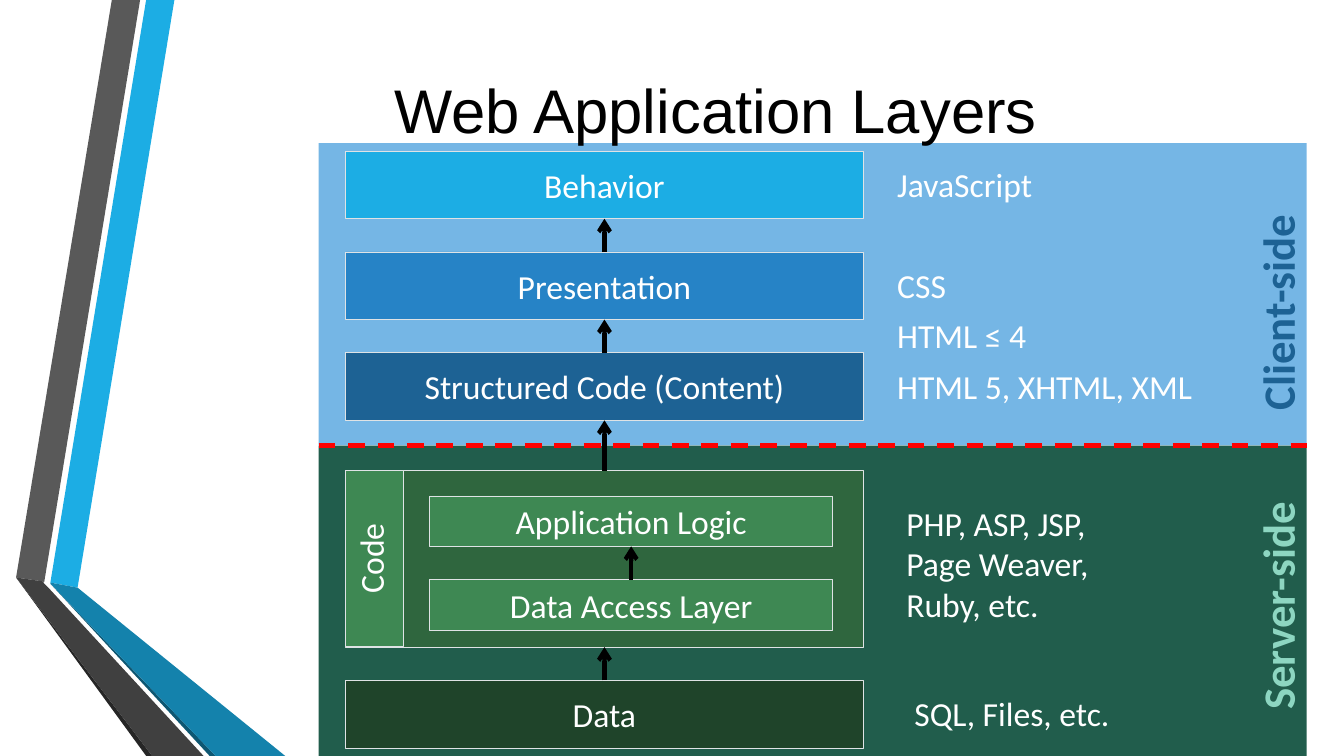
from lxml import etree
from pptx import Presentation
from pptx.dml.color import RGBColor
from pptx.enum.dml import MSO_LINE
from pptx.enum.shapes import MSO_CONNECTOR, MSO_SHAPE
from pptx.enum.text import MSO_ANCHOR, PP_ALIGN
from pptx.oxml.ns import qn
from pptx.util import Inches, Pt

RECT, STRAIGHT, DASH = MSO_SHAPE.RECTANGLE, MSO_CONNECTOR.STRAIGHT, MSO_LINE.DASH
LEFT, CENTER = PP_ALIGN.LEFT, PP_ALIGN.CENTER
TOP, MIDDLE = MSO_ANCHOR.TOP, MSO_ANCHOR.MIDDLE
WHITE, BLACK, BORDER, GREEN = "FFFFFF", "000000", "DFE3E5", "3E8853"

RIBBONS = [
    ("1CADE4", [(0.5, 5.78), (0.77, 5.83), (1.73, 0), (1.45, 0)]),
    ("595959", [(1.39, 0), (1.11, 0), (0.16, 5.73), (0.44, 5.77)]),
    ("262626", [(0.16, 5.73), (1.45, 7.5), (1.51, 7.5)]),
    ("0E5772", [(0.5, 5.79), (2.08, 7.5), (2.14, 7.5)]),
    ("1482AC", [(0.5, 5.79), (2.14, 7.5), (2.83, 7.5), (0.77, 5.83), (0.5, 5.78)]),
    ("404040", [(2.02, 7.5), (0.48, 5.83), (0.43, 5.78), (0.44, 5.77), (0.16, 5.73), (1.51, 7.5)]),
]
PANEL_X, PANEL_W = 3.16, 9.8
SIDES = [
    ("Client-side", 1.42, 3, "75B6E5", "1D6294", 2, 2.17),
    ("Server-side", 4.42, 3.08, "215D4C", "8DD6C1", 4.85, 2.29),
]
LAYER_X, LAYER_W, LAYER_H = 3.43, 5.13, 0.67
LAYERS = [
    ("Behavior", 1.5, LAYER_H, "1CADE4"),
    ("Presentation", 2.5, LAYER_H, "2683C6"),
    ("Structured Code (Content)", 3.5, LAYER_H, "1D6294"),
    ("", 4.67, 1.75, "2F663E"),
    ("Data", 6.75, LAYER_H, "1F442A"),
]
CODE_X, CODE_W = 4.26, 4
CODE_LAYERS = [("Application Logic", 4.92, 0.5, GREEN), ("Data Access Layer", 5.75, 0.5, GREEN)]
TECHNOLOGIES = [
    (8.8, 1.58, 2.21, ["JavaScript"]),
    (8.8, 2.58, 1.47, ["CSS"]),
    (8.8, 3.08, 2.04, ["HTML ≤ 4"]),
    (8.8, 3.58, 3.64, ["HTML 5, XHTML, XML"]),
    (8.89, 4.94, 3.28, ["PHP, ASP, JSP,", "Page Weaver,", "Ruby, etc."]),
    (8.97, 6.83, 2.48, ["SQL, Files, etc."]),
]

prs = Presentation()
prs.slide_width, prs.slide_height = Inches(13.33), Inches(7.5)
s = prs.slides.add_slide(prs.slide_layouts[6])


def rgb(color):
    return RGBColor.from_string(color)


def paint(sp, fill, line=None, width=0.5):
    sp.shadow.inherit = False
    sp.fill.solid()
    sp.fill.fore_color.rgb = rgb(fill)
    if line:
        sp.line.color.rgb = rgb(line)
        sp.line.width = Pt(width)
    else:
        sp.line.fill.background()


def write(sp, lines, size=24, font="Calibri", color=WHITE, bold=False,
          align=LEFT, anchor=TOP, wrap=True):
    tf = sp.text_frame
    tf.word_wrap, tf.vertical_anchor = wrap, anchor
    for i, line in enumerate(lines):
        p = tf.add_paragraph() if i else tf.paragraphs[0]
        p.alignment = align
        r = p.add_run()
        r.text = line
        r.font.size, r.font.name, r.font.bold = Pt(size), font, bold
        r.font.color.rgb = rgb(color)


def box(x, y, w, h):
    return s.shapes.add_textbox(*map(Inches, (x, y, w, h)))


def rect(x, y, w, h, fill, line=None, width=0.5):
    sp = s.shapes.add_shape(RECT, *map(Inches, (x, y, w, h)))
    paint(sp, fill, line, width)
    return sp


def connect(x1, y1, x2, y2, color, dash=None, arrow=False):
    c = s.shapes.add_connector(STRAIGHT, *map(Inches, (x1, y1, x2, y2)))
    c.line.color.rgb = rgb(color)
    c.line.width = Pt(3)
    if dash:
        c.line.dash_style = dash
    if arrow:
        etree.SubElement(c.line._get_or_add_ln(), qn("a:tailEnd"), type="arrow")
    etree.SubElement(c._element.spPr, qn("a:effectLst"))


def stack(x, w, layers):
    for text, y, h, fill in layers:
        sp = rect(x, y, w, h, fill, BORDER)
        if text:
            write(sp, [text], align=CENTER, anchor=MIDDLE)
    for upper, lower in zip(layers, layers[1:]):
        connect(x + w / 2, lower[1], x + w / 2, upper[1] + upper[2], BLACK, arrow=True)


for fill, points in RIBBONS:
    (x, y), *rest = [(px * 100, py * 100) for px, py in points]
    fb = s.shapes.build_freeform(x, y, scale=Inches(0.01))
    fb.add_line_segments(rest, close=True)
    paint(fb.convert_to_shape(), fill)

for name, y, h, fill, color, name_y, name_h in SIDES:
    rect(PANEL_X, y, PANEL_W, h, fill)
    sp = box(12.35, name_y, 0.74, name_h)
    write(sp, [name], size=32, color=color, bold=True, wrap=False)
    sp.text_frame._txBody.bodyPr.set("vert", "vert270")
border_y = SIDES[1][1]
connect(PANEL_X, border_y, PANEL_X + PANEL_W, border_y, "FF0000", dash=DASH)

write(box(1.62, 0.52, 10.96, 1.12), ["Web Application Layers"], size=44, font="Arial",
      color=BLACK, align=CENTER, anchor=MIDDLE)

stack(LAYER_X, LAYER_W, LAYERS)
code = rect(2.84, 5.25, 1.75, 0.58, GREEN, BORDER, 0.75)
code.rotation = 270
write(code, ["Code"], align=CENTER)
stack(CODE_X, CODE_W, CODE_LAYERS)

for x, y, w, lines in TECHNOLOGIES:
    write(box(x, y, w, 0.1 + 0.4 * len(lines)), lines)

prs.save("out.pptx")
